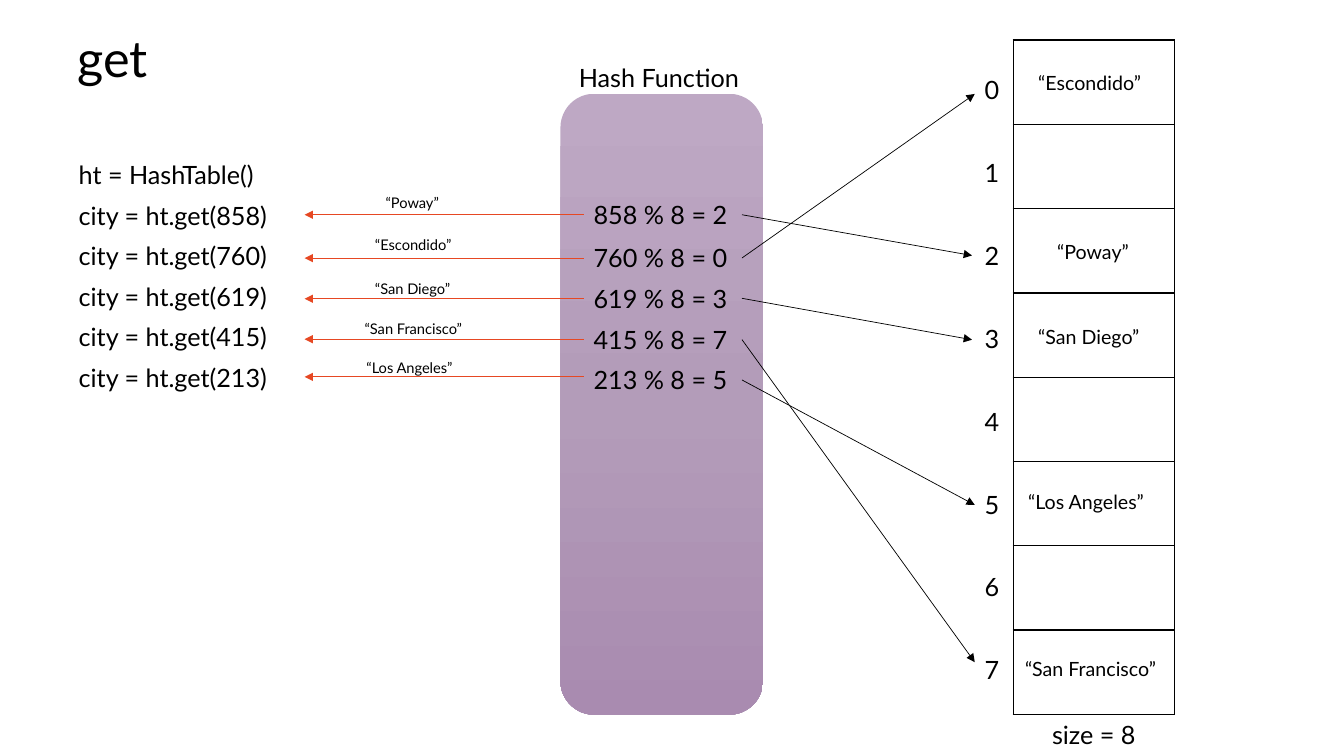
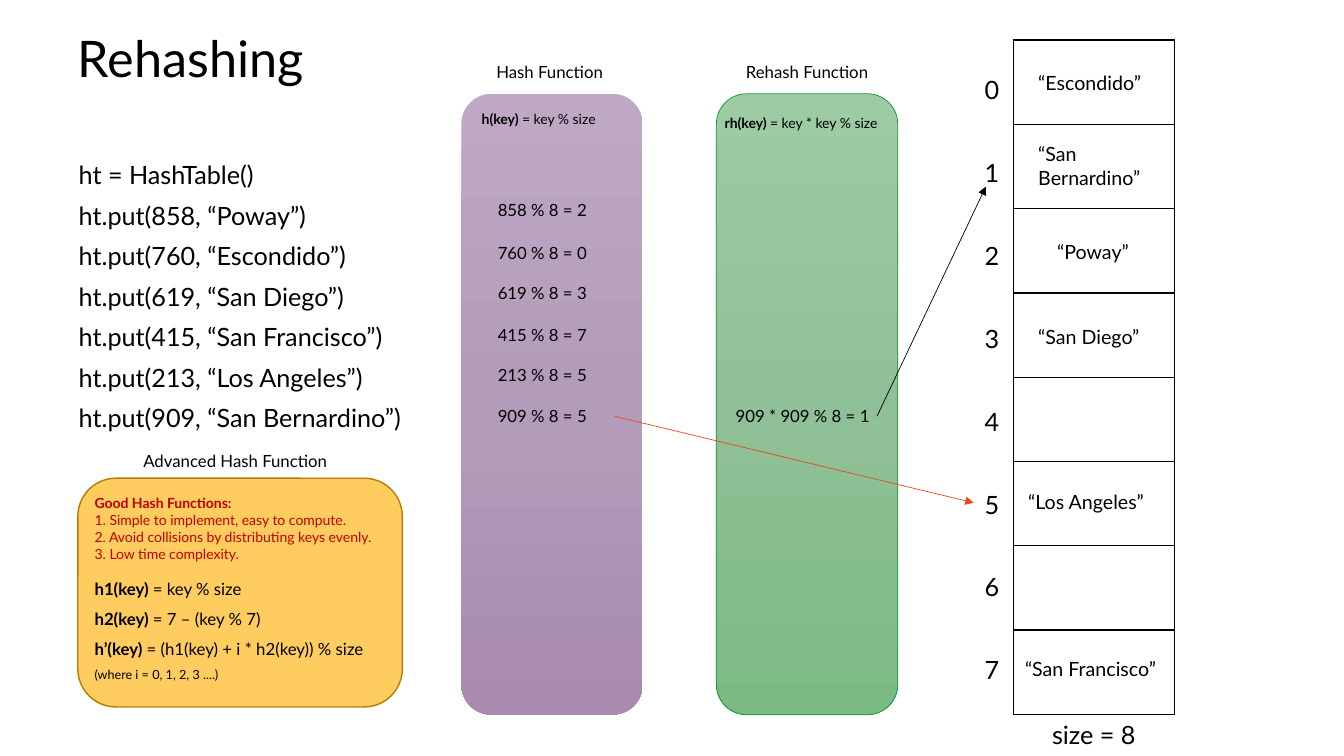
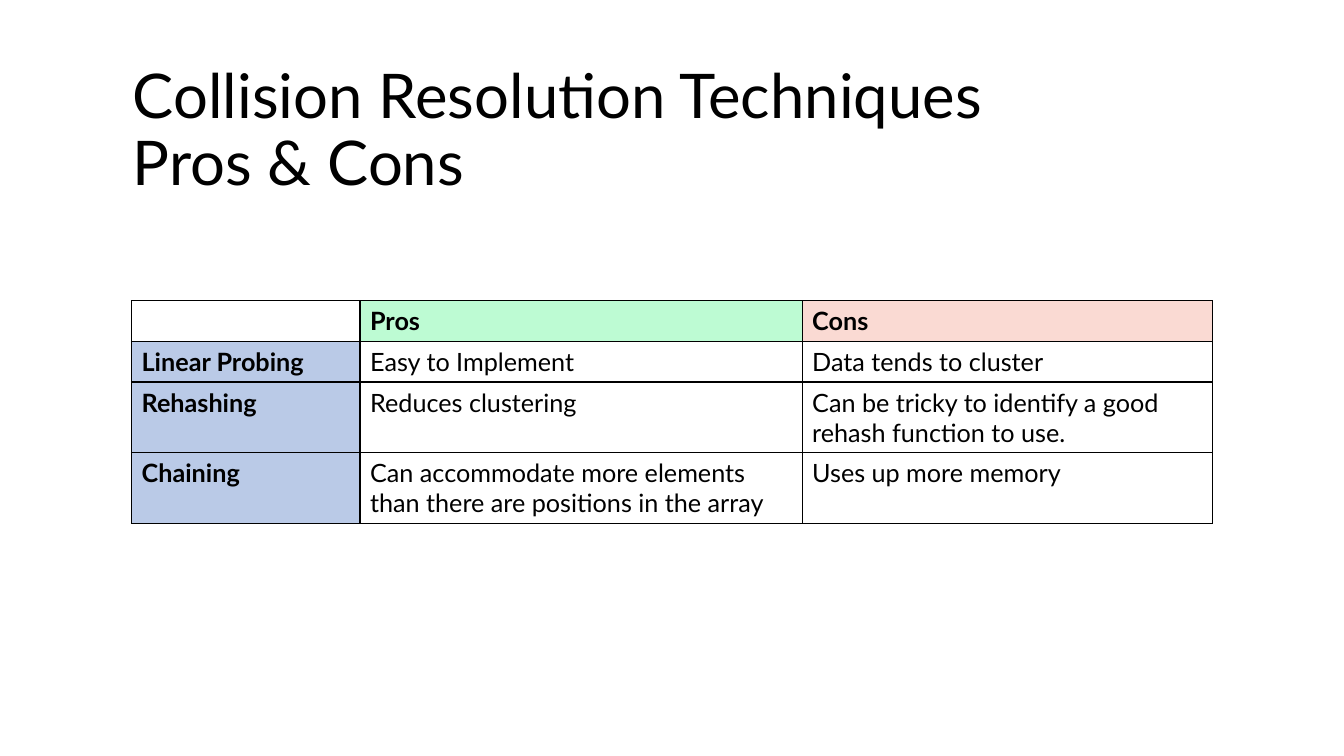
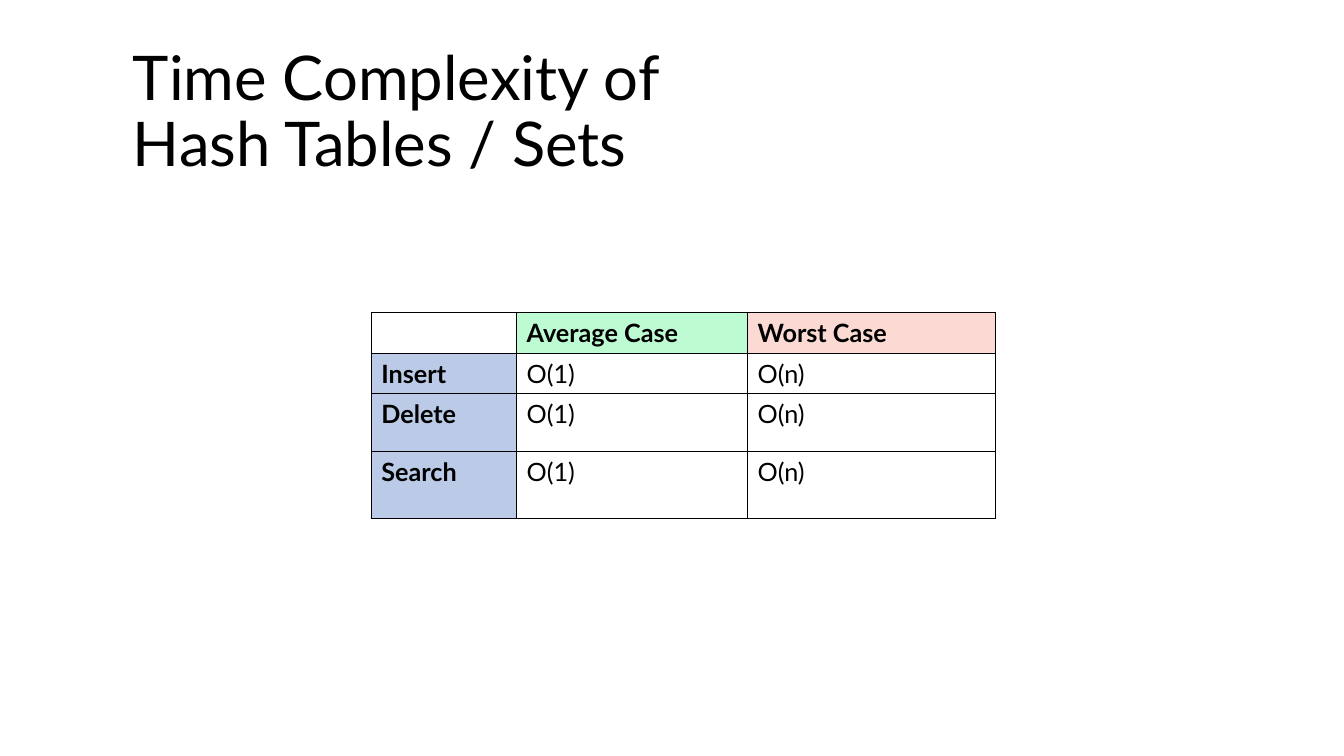
from copy import deepcopy

from pptx import Presentation
from pptx.dml.color import RGBColor
from pptx.enum.shapes import MSO_CONNECTOR, MSO_SHAPE
from pptx.enum.text import MSO_ANCHOR, MSO_AUTO_SIZE, PP_ALIGN
from pptx.oxml.ns import qn
from pptx.util import Pt
from lxml import etree

LEFT, CENTER = PP_ALIGN.LEFT, PP_ALIGN.CENTER
TOP = MSO_ANCHOR.TOP
NO_AUTOFIT = MSO_AUTO_SIZE.NONE
STRAIGHT = MSO_CONNECTOR.STRAIGHT
ROUNDED = MSO_SHAPE.ROUNDED_RECTANGLE
ALTERNATE = MSO_SHAPE.FLOWCHART_ALTERNATE_PROCESS

FONT = "Lato"
LINE_RATIO = 1.2  # line height of the font, in multiples of its size
COLORS = {
    "text": "000000", "accent": "E64823", "goal": "C00000",
    "card": "FFCC60", "card_line": "B57C00", "rehash_line": "09963B",
    "pros": "BDFBD3", "cons": "FADAD3", "row_head": "BACAE7",
}
PURPLE = ("BEA8C4", "B39CB9", "A98BB0")
GREEN = ("9DCBA3", "90C097", "7CBA84")

# Shared geometry of the two diagram slides
TITLE_BOX = (48.2, 20.4, 368, 52)
CODE_BOX, CODE_PITCH = (49, 110.2, 260, 210), 28.95
ROW_TOPS = [139, 169.9, 198.7, 228.2, 257, 286.6]
BUCKET_BOX, BUCKET_COUNT = (723.7, 28.6, 115.2, 481.7), 8
INDEX_TOP, INDEX_PITCH = 49.7, 59.2
INDEX_LEFT = 696.3

# City: left and top within the bucket array
CITIES = {
    "“Escondido”": (10.8, 18.2), "“Poway”": (24.4, 139.2), "“San Diego”": (10.8, 199.6),
    "“Los Angeles”": (3.6, 317.7), "“San Francisco”": (1.4, 437.2),
}
HASHES = ["858 % 8 = 2", "760 % 8 = 0", "619 % 8 = 3", "415 % 8 = 7", "213 % 8 = 5"]


def rgb(name):
    return RGBColor.from_string(COLORS[name])


def points(box):
    return [Pt(value) for value in box]


def format_para(para, size, bold=False, color="text", align=LEFT):
    para.alignment = align
    for span in para.runs:
        span.font.name = FONT
        span.font.size = Pt(size)
        span.font.bold = bold
        span.font.color.rgb = rgb(color)


def write(frame, lines, size, pitch=None, align=LEFT, color="text"):
    """Fill a frame with one paragraph a line, pitch points apart."""
    frame.word_wrap = True
    frame.auto_size = NO_AUTOFIT
    frame.text = "\n".join(lines)
    gap = pitch - LINE_RATIO * size if pitch else 0
    for number, para in enumerate(frame.paragraphs):
        para.space_before = Pt(round(gap, 2) if number else 0)
        name, mark, rest = para.text.partition("(key) ")
        if mark:
            para.text = name + mark
            para.add_run().text = rest
        format_para(para, size, color=color, align=align)
        if mark:
            para.runs[0].font.bold = True


def add_text(page, box, lines, size, **style):
    frame = page.shapes.add_textbox(*points(box)).text_frame
    write(frame, lines, size, **style)
    return frame


def add_page(deck, layout, title, box, size):
    page = deck.slides.add_slide(deck.slide_layouts[layout])
    holder = page.shapes.title
    holder.left, holder.top, holder.width, holder.height = points(box)
    write(holder.text_frame, title, size)
    holder.text_frame.vertical_anchor = TOP
    for para in holder.text_frame.paragraphs:
        para.line_spacing = 0.9
    return page


def add_arrow(page, start, end, color="text"):
    arrow = page.shapes.add_connector(STRAIGHT, *points(start + end))
    arrow.line.color.rgb = rgb(color)
    arrow.line.width = Pt(0.5)
    line = arrow.line._get_or_add_ln()
    etree.SubElement(line, qn("a:tailEnd"), type="triangle")
    etree.SubElement(arrow._element.spPr, qn("a:effectLst"))


def row_center(row, size):
    """Height of the middle of a hash row set in the given size."""
    return ROW_TOPS[row] + 3.6 + LINE_RATIO * size / 2


def index_center(bucket):
    return INDEX_TOP + INDEX_PITCH * bucket + 3.6 + LINE_RATIO * 18 / 2


def add_code(page, lines):
    body = page.placeholders[1]
    body.left, body.top, body.width, body.height = points(CODE_BOX)
    write(body.text_frame, lines, 18, pitch=CODE_PITCH)
    for para in body.text_frame.paragraphs:
        properties = para._p.get_or_add_pPr()
        properties.set("marL", "0")
        properties.set("indent", "0")
        etree.SubElement(properties, qn("a:buNone"))


def add_panel(page, box, shades, caption, size, rows, row_left, shift=0, line=None):
    """A shaded function box with its caption and hash results by row number."""
    left, top, width, height = box
    panel = page.shapes.add_shape(ROUNDED, *points(box))
    panel.shadow.inherit = False
    panel.fill.gradient()
    panel.fill.gradient_angle = 270
    stops = panel._element.spPr.find(qn("a:gradFill")).find(qn("a:gsLst"))
    stops.insert(1, deepcopy(stops[0]))
    for number, (stop, shade) in enumerate(zip(panel.fill.gradient_stops, shades)):
        stop.position = number / 2
        stop.color.rgb = RGBColor.from_string(shade)
    if line:
        panel.line.color.rgb = rgb(line)
        panel.line.width = Pt(0.5)
    else:
        panel.line.fill.background()
    add_text(page, (left + shift, top - 26.2, width, 26), [caption], size, align=CENTER)
    for row, result in rows.items():
        row_box = (left + row_left, ROW_TOPS[row], width - row_left, LINE_RATIO * size + 7.2)
        add_text(page, row_box, [result], size)


def set_borders(cell):
    properties = cell._tc.get_or_add_tcPr()
    for side in ("a:lnL", "a:lnR", "a:lnT", "a:lnB"):
        border = etree.SubElement(properties, qn(side), w=str(Pt(1)))
        fill = etree.SubElement(border, qn("a:solidFill"))
        etree.SubElement(fill, qn("a:srgbClr"), val=COLORS["text"])


def add_grid(page, left, top, widths, heights):
    """An unstyled table with thin black borders."""
    box = (left, top, sum(widths), sum(heights))
    table = page.shapes.add_table(len(heights), len(widths), *points(box)).table
    table.first_row = table.horz_banding = False
    for column, width in zip(table.columns, widths):
        column.width = Pt(width)
    for row, height in zip(table.rows, heights):
        row.height = Pt(height)
    for cell in table.iter_cells():
        set_borders(cell)
        cell.fill.background()
    return table


def add_buckets(page, box, cities):
    """The array of buckets with its cities, index numbers and size."""
    left, top, width, height = box
    add_grid(page, left, top, [width], [height / BUCKET_COUNT] * BUCKET_COUNT)
    for city, (across, down) in cities.items():
        add_text(page, (left + across, top + down, 112, 24), [city], 14)
    add_text(page, (left, top + height, width, 28.8), ["size = 8"], 18, align=CENTER)
    numbers = [str(bucket) for bucket in range(BUCKET_COUNT)]
    add_text(page, (INDEX_LEFT, INDEX_TOP, 25.2, 448), numbers, 18, pitch=INDEX_PITCH)


def add_advanced_card(page, box):
    """The card on good hash functions."""
    left, top, width, height = box
    card = page.shapes.add_shape(ALTERNATE, *points(box))
    card.shadow.inherit = False
    card.fill.solid()
    card.fill.fore_color.rgb = rgb("card")
    card.line.color.rgb = rgb("card_line")
    card.line.width = Pt(1)
    add_text(page, (left - 3.4, top - 23.3, width, 21.6), ["Advanced Hash Function"], 12,
             align=CENTER)
    goals = add_text(page, (left + 4.9, top + 8.4, width, 55), [
        "Good Hash Functions:",
        "1. Simple to implement, easy to compute.",
        "2. Avoid collisions by distributing keys evenly.",
        "3. Low time complexity.",
    ], 10, color="goal")
    format_para(goals.paragraphs[0], 10, bold=True, color="goal")
    formulas = add_text(page, (left + 4.9, top + 60.9, width - 9, 87), [
        "h1(key) = key % size",
        "h2(key) = 7 – (key % 7)",
        "h’(key) = (h1(key) + i * h2(key)) % size",
        "(where i = 0, 1, 2, 3 ....)",
    ], 12)
    format_para(formulas.paragraphs[-1], 9)
    for para in formulas.paragraphs:
        para.line_spacing = 1.5


def add_comparison(page, left, top, widths, heights, rows):
    """A table with coloured column and row heads."""
    table = add_grid(page, left, top, widths, heights)
    heads = {1: "pros", 2: "cons"}
    for row, texts in enumerate(rows):
        for column, text in enumerate(texts):
            if not text:
                continue
            cell = table.cell(row, column)
            cell.text = text
            is_head = row == 0 or column == 0
            format_para(cell.text_frame.paragraphs[0], 18, bold=is_head)
            if is_head:
                cell.fill.solid()
                cell.fill.fore_color.rgb = rgb(heads[column] if row == 0 else "row_head")


def build_get(deck):
    page = add_page(deck, 1, ["get"], TITLE_BOX, 36)
    keys = [858, 760, 619, 415, 213]
    add_code(page, ["ht = HashTable()"] + [f"city = ht.get({key})" for key in keys])
    add_buckets(page, BUCKET_BOX, CITIES)
    add_panel(page, (400.3, 67, 144.7, 443.5), PURPLE, "Hash Function", 18,
              dict(enumerate(HASHES)), 16.6, shift=-2)
    # Lookups to the right: bucket and height of the arrowhead
    targets = [(2, 0), (0, 3), (3, 1), (7, -5.5), (5, 0.6)]
    for row, (bucket, nudge) in enumerate(targets):
        end = (694.3 if bucket in (2, 3) else INDEX_LEFT, index_center(bucket) + nudge)
        add_arrow(page, (530, row_center(row, 18)), end)
    # Returned cities to the left: city, left and top of its label, arrow height
    returned = [
        ("“Poway”", 268.4, 135.2, 153.4), ("“Escondido”", 260.8, 165, 184.4),
        ("“San Diego”", 260.8, 196.5, 213.4), ("“San Francisco”", 253.4, 225.2, 242.3),
        ("“Los Angeles”", 254.7, 252.9, 269.2),
    ]
    for city, left, top, height in returned:
        add_arrow(page, (416.9, height), (217.6, height), "accent")
        add_text(page, (left, top, 92, 20), [city], 10.5)


def build_rehashing(deck):
    page = add_page(deck, 1, ["Rehashing"], TITLE_BOX, 36)
    add_code(page, [
        "ht = HashTable()",
        "ht.put(858, “Poway”)",
        "ht.put(760, “Escondido”)",
        "ht.put(619, “San Diego”)",
        "ht.put(415, “San Francisco”)",
        "ht.put(213, “Los Angeles”)",
        "ht.put(909, “San Bernardino”)",
    ])
    add_buckets(page, BUCKET_BOX, {**CITIES, "“San Bernardino”": (10.8, 69.2)})
    # Hash and rehash functions
    add_panel(page, (329.5, 67, 129.6, 443.5), PURPLE, "Hash Function", 12,
              dict(enumerate(HASHES + ["909 % 8 = 5"])), 19, shift=-1.6)
    add_text(page, (337, 75.6, 117, 19.4), ["h(key) = key % size"], 10)
    add_panel(page, (511.7, 67, 129.6, 443.5), GREEN, "Rehash Function", 12,
              {5: "909 * 909 % 8 = 1"}, 6.7, line="rehash_line")
    add_text(page, (510.5, 78.1, 146, 19.4), ["rh(key) = key * key % size"], 10)
    # Collision, then the free bucket
    height = row_center(5, 12)
    add_arrow(page, (439.2, height), (695.5, index_center(5) - 1), "accent")
    add_arrow(page, (626.4, height), (704.2, index_center(1) + 10))
    add_advanced_card(page, (55.6, 341.6, 231.8, 163.4))


def build_pros_cons(deck):
    page = add_page(deck, 5, ["Collision Resolution Techniques", "Pros & Cons"],
                    (87.8, 43.2, 800, 93), 44)
    add_comparison(page, 94, 214.9, [163.2, 315.8, 293], [28.8, 28.8, 50.4, 50.4], [
        ("", "Pros", "Cons"),
        ("Linear Probing", "Easy to Implement", "Data tends to cluster"),
        ("Rehashing", "Reduces clustering",
         "Can be tricky to identify a good rehash function to use."),
        ("Chaining", "Can accommodate more elements than there are positions in the array",
         "Uses up more memory"),
    ])


def build_complexity(deck):
    page = add_page(deck, 5, ["Time Complexity of", "Hash Tables / Sets"],
                    (87.8, 30, 800, 109.4), 44)
    operations = [(name, "O(1)", "O(n)") for name in ("Insert", "Delete", "Search")]
    add_comparison(page, 265.2, 223.2, [103.8, 165, 177], [28.8, 28.8, 41, 48],
                   [("", "Average Case", "Worst Case")] + operations)


def main():
    deck = Presentation()
    deck.slide_width, deck.slide_height = Pt(960), Pt(540)
    build_get(deck)
    build_rehashing(deck)
    build_pros_cons(deck)
    build_complexity(deck)
    deck.save("out.pptx")


if __name__ == "__main__":
    main()
